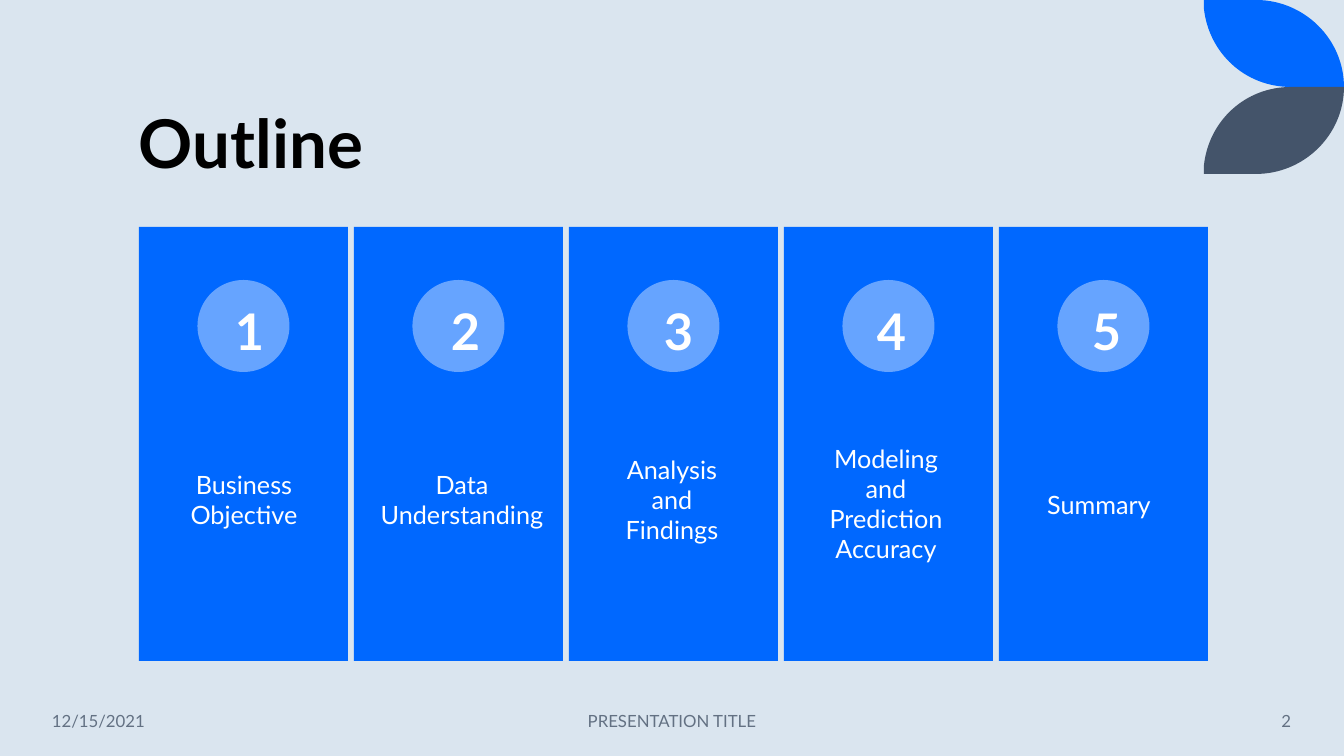
from lxml.etree import SubElement
from pptx import Presentation
from pptx.dml.color import RGBColor
from pptx.enum.shapes import MSO_SHAPE
from pptx.enum.text import MSO_ANCHOR, PP_ALIGN
from pptx.oxml.ns import qn
from pptx.util import Pt

# Content: label, label box (left, top, width, height), number box left
CARDS = [
    ("Business Objective", (175, 464, 138, 102), 225),
    ("Data Understanding", (368, 464, 188, 102), 441),
    ("Analysis and Findings", (603, 449, 138, 132), 654),
    ("Modeling and Prediction Accuracy", (817, 438, 138, 163), 867),
    ("Summary", (1030, 484, 138, 72), 1082),
]
FOOTER = [
    ("12/15/2021", (42, 701, 187, 40), PP_ALIGN.LEFT),
    ("PRESENTATION TITLE", (445, 701, 454, 40), PP_ALIGN.CENTER),
    ("2", (1119, 701, 182, 40), PP_ALIGN.RIGHT),
]
COLORS = {
    "background": "DAE5EF", "blue": "0068FF", "light": "66A4FF", "slate": "44546A",
    "title": "000000", "white": "FFFFFF", "footer": "637183",
}
FONT = "Lato"

# Layout in px
SCALE = 914400 / 100.8
PAGE_WIDTH, PAGE_HEIGHT = 1344, 756
CARD_LEFT, CARD_TOP, CARD_WIDTH, CARD_HEIGHT, CARD_PITCH = 139, 227, 209, 434, 215
CIRCLE_TOP, CIRCLE_SIZE = 280, 92
LEAF_LEFT, LEAF_WIDTH, LEAF_HEIGHT = 1204, 140, 87
LEAF_OUTLINE = [
    ("moveTo", [(0, 0)]),
    ("lnTo", [(52, 0)]),
    ("cubicBezTo", [(100, 0), (140, 39), (140, 87)]),
    ("lnTo", [(87, 87)]),
    ("cubicBezTo", [(41, 87), (5, 53), (0, 9)]),
    ("close", []),
]


def emu(*lengths):
    return [round(length * SCALE) for length in lengths]


def color(name):
    return RGBColor.from_string(COLORS[name])


def paint(shape, fill):
    shape.shadow.inherit = False
    shape.fill.solid()
    shape.fill.fore_color.rgb = color(fill)
    shape.line.fill.background()


def add_block(page, kind, frame, fill):
    paint(page.shapes.add_shape(kind, *emu(*frame)), fill)


def add_text(page, text, frame, *, size, ink, bold=False, align=PP_ALIGN.CENTER,
             anchor=MSO_ANCHOR.TOP, spacing=1.0):
    box = page.shapes.add_textbox(*emu(*frame)).text_frame
    box.word_wrap = True
    box.vertical_anchor = anchor
    para = box.paragraphs[0]
    para.alignment = align
    para.line_spacing = spacing
    span = para.add_run()
    span.text = text
    span.font.name = FONT
    span.font.size = Pt(size)
    span.font.bold = bold
    span.font.color.rgb = color(ink)


def add_leaf(page, top, fill, flipped):
    # Corner points set the frame, then the outline gets its curves
    right, bottom = LEAF_LEFT + LEAF_WIDTH, top + LEAF_HEIGHT
    builder = page.shapes.build_freeform(*emu(LEAF_LEFT, top))
    builder.add_line_segments([emu(right, top), emu(right, bottom), emu(LEAF_LEFT, bottom)])
    leaf = builder.convert_to_shape()
    outline = next(leaf.element.iter(qn("a:path")))
    for command in list(outline):
        outline.remove(command)
    outline.set("w", str(LEAF_WIDTH))
    outline.set("h", str(LEAF_HEIGHT))
    for name, points in LEAF_OUTLINE:
        command = SubElement(outline, qn(f"a:{name}"))
        for x, y in points:
            SubElement(command, qn("a:pt"), x=str(x), y=str(LEAF_HEIGHT - y if flipped else y))
    paint(leaf, fill)


def main():
    deck = Presentation()
    deck.slide_width, deck.slide_height = emu(PAGE_WIDTH, PAGE_HEIGHT)
    page = deck.slides.add_slide(deck.slide_layouts[6])
    page.background.fill.solid()
    page.background.fill.fore_color.rgb = color("background")

    # Corner leaves and title
    add_leaf(page, 0, "blue", flipped=False)
    add_leaf(page, LEAF_HEIGHT, "slate", flipped=True)
    add_text(page, "Outline", (129, 42, 1078, 146), size=48, ink="title", bold=True,
             align=PP_ALIGN.LEFT, anchor=MSO_ANCHOR.BOTTOM, spacing=0.9)

    # Card panels with circles
    for index in range(len(CARDS)):
        left = CARD_LEFT + index * CARD_PITCH
        circle_left = left + (CARD_WIDTH - CIRCLE_SIZE) / 2
        add_block(page, MSO_SHAPE.RECTANGLE, (left, CARD_TOP, CARD_WIDTH, CARD_HEIGHT), "blue")
        add_block(page, MSO_SHAPE.OVAL,
                  (circle_left, CIRCLE_TOP, CIRCLE_SIZE, CIRCLE_SIZE), "light")

    # Card numbers and labels
    for number, (label, label_frame, number_left) in enumerate(CARDS, start=1):
        add_text(page, str(number), (number_left, 295, 38, 72),
                 size=36, ink="white", bold=True)
        add_text(page, label, label_frame, size=18, ink="white")

    # Footer
    for text, frame, align in FOOTER:
        add_text(page, text, frame, size=12, ink="footer", align=align,
                 anchor=MSO_ANCHOR.MIDDLE)

    deck.save("out.pptx")


if __name__ == "__main__":
    main()
